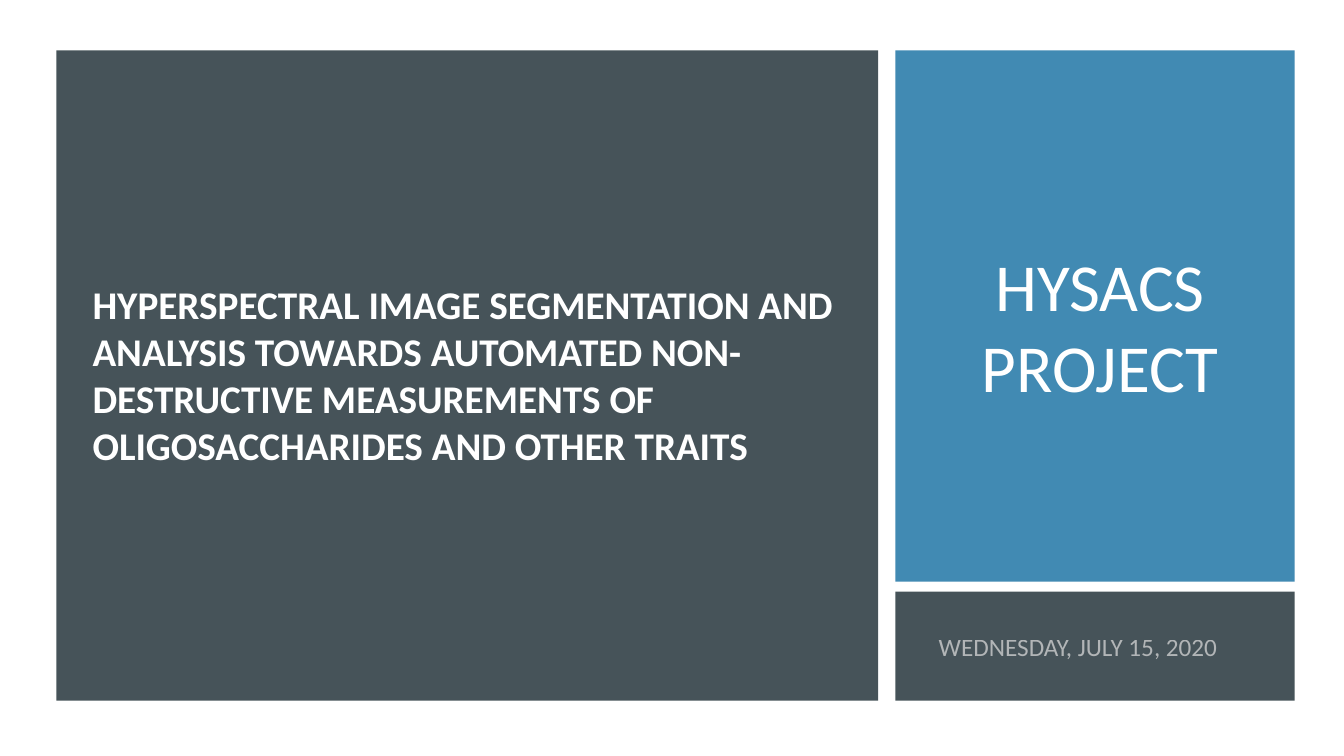
from dataclasses import dataclass

from lxml import etree
from pptx import Presentation
from pptx.dml.color import RGBColor
from pptx.enum.shapes import MSO_SHAPE
from pptx.enum.text import MSO_ANCHOR, PP_ALIGN
from pptx.oxml.ns import qn
from pptx.slide import Slide
from pptx.util import Inches, Pt

RECTANGLE = MSO_SHAPE.RECTANGLE
TOP, MIDDLE = MSO_ANCHOR.TOP, MSO_ANCHOR.MIDDLE
LEFT, CENTER = PP_ALIGN.LEFT, PP_ALIGN.CENTER

SLIDE_WIDTH, SLIDE_HEIGHT = Inches(13.33), Inches(7.5)
FONT = "Calibri"
WHITE, SILVER, SLATE, BLUE = "FFFFFF", "D7D7D7", "465359", "418AB3"

# Panel edges, in percent of the slide's width or height
MAIN_LEFT, MAIN_WIDTH = 4.2, 61.14
SIDE_LEFT, SIDE_WIDTH = 66.62, 29.71
PANEL_TOP, PANEL_BOTTOM = 6.67, 92.67
TITLE_BOTTOM, DATE_TOP = 76.93, 78.27
SIDE_TEXT_LEFT, SIDE_TEXT_WIDTH = 68.72, 26.26


@dataclass(frozen=True)
class Area:
    """A rectangle in percent of the slide's width and height."""
    left: float
    top: float
    width: float
    height: float

    def place(self) -> tuple[int, int, int, int]:
        return (
            round(SLIDE_WIDTH * self.left / 100),
            round(SLIDE_HEIGHT * self.top / 100),
            round(SLIDE_WIDTH * self.width / 100),
            round(SLIDE_HEIGHT * self.height / 100),
        )


@dataclass(frozen=True)
class Panel:
    area: Area
    fill: str


@dataclass(frozen=True)
class Caption:
    area: Area
    text: str
    size: int
    color: str = WHITE
    bold: bool = False
    anchor: MSO_ANCHOR = MIDDLE
    alignment: PP_ALIGN = LEFT
    inset: float = 0.1
    opacity: int = 100


PANELS = [
    Panel(Area(SIDE_LEFT, PANEL_TOP, SIDE_WIDTH, TITLE_BOTTOM - PANEL_TOP), BLUE),
    Panel(Area(SIDE_LEFT, DATE_TOP, SIDE_WIDTH, PANEL_BOTTOM - DATE_TOP), SLATE),
    Panel(Area(MAIN_LEFT, PANEL_TOP, MAIN_WIDTH, PANEL_BOTTOM - PANEL_TOP), SLATE),
]

CAPTIONS = [
    Caption(Area(SIDE_TEXT_LEFT, 12.4, SIDE_TEXT_WIDTH, 61.2),
            "HYSACS PROJECT", 48, alignment=CENTER),
    Caption(Area(SIDE_TEXT_LEFT, 80.8, SIDE_TEXT_WIDTH, 9.47),
            "WEDNESDAY, JULY 15, 2020", 18, SILVER, inset=0.15, opacity=75),
    Caption(Area(6.15, 36.4, 58.06, 26.53),
            "HYPERSPECTRAL IMAGE SEGMENTATION AND ANALYSIS TOWARDS AUTOMATED "
            "NON-DESTRUCTIVE MEASUREMENTS OF OLIGOSACCHARIDES AND OTHER TRAITS",
            28, bold=True, anchor=TOP),
]


def rgb(color: str) -> RGBColor:
    return RGBColor.from_string(color)


def draw_panel(slide: Slide, panel: Panel) -> None:
    shape = slide.shapes.add_shape(RECTANGLE, *panel.area.place())
    shape.shadow.inherit = False
    shape.fill.solid()
    shape.fill.fore_color.rgb = rgb(panel.fill)
    shape.line.fill.background()


def draw_caption(slide: Slide, caption: Caption) -> None:
    frame = slide.shapes.add_textbox(*caption.area.place()).text_frame
    frame.word_wrap = True
    frame.vertical_anchor = caption.anchor
    frame.margin_left = Inches(caption.inset)
    paragraph = frame.paragraphs[0]
    paragraph.text = caption.text
    paragraph.alignment = caption.alignment
    font = paragraph.font
    font.name = FONT
    font.size = Pt(caption.size)
    font.bold = caption.bold
    font.color.rgb = rgb(caption.color)
    if caption.opacity < 100:
        # LibreOffice reads transparency from the run, not from the paragraph
        run = paragraph.runs[0]
        run.font.color.rgb = rgb(caption.color)
        color_element = run.font._element.find(".//" + qn("a:srgbClr"))
        alpha = etree.SubElement(color_element, qn("a:alpha"))
        alpha.set("val", str(caption.opacity * 1000))


def main() -> None:
    presentation = Presentation()
    presentation.slide_width = SLIDE_WIDTH
    presentation.slide_height = SLIDE_HEIGHT
    slide = presentation.slides.add_slide(presentation.slide_layouts[6])
    for panel in PANELS:
        draw_panel(slide, panel)
    for caption in CAPTIONS:
        draw_caption(slide, caption)
    presentation.save("out.pptx")


if __name__ == "__main__":
    main()
